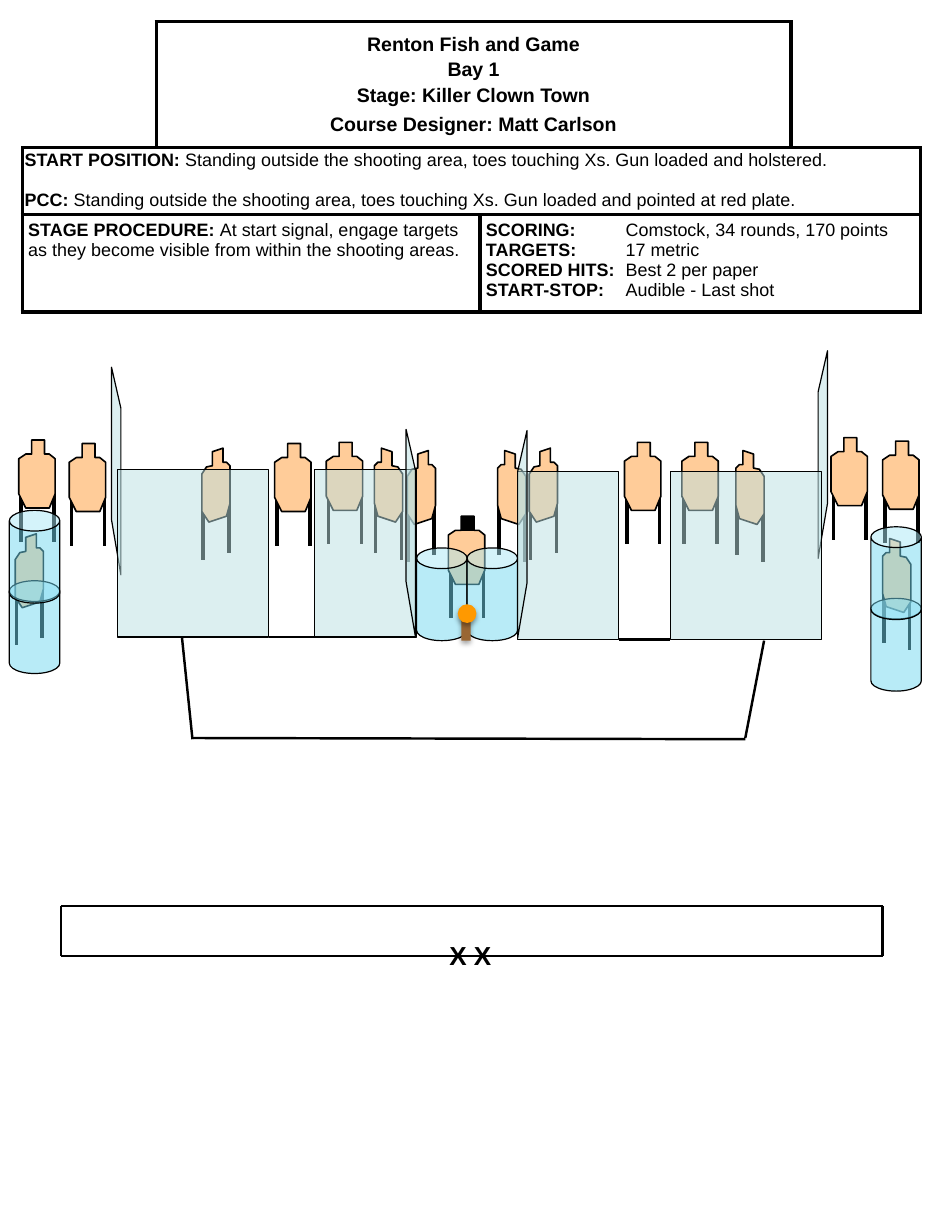
from lxml import etree
from pptx import Presentation
from pptx import util as u
from pptx.dml.color import RGBColor
from pptx.enum import shapes, text
from pptx.oxml.ns import qn

BLACK = RGBColor(0x00, 0x00, 0x00)
WHITE = RGBColor(0xFF, 0xFF, 0xFF)
CARDBOARD = RGBColor(0xFF, 0xCC, 0x99)
WALL = RGBColor(0xBB, 0xE0, 0xE3)
BARREL = RGBColor(0x73, 0xD9, 0xF1)
POST = RGBColor(0x99, 0x66, 0x33)
PLATE = RGBColor(0xFF, 0x99, 0x00)

FRONT = [(.11, 0), (.22, 0), (.22, .12), (.26, .12), (.31, .16), (.31, .46),
         (.26, .58), (.06, .58), (0, .46), (0, .16), (.06, .12), (.11, .12)]
FRONT_LEGS = [(.02, .43), (.3, .43)]
TURNED = [(.15, .03), (.06, 0), (.06, .12), (.03, .12), (0, .15), (0, .47),
          (.03, .58), (.18, .63), (.24, .54), (.24, .22), (.2, .16), (.15, .15)]
TURNED_LEGS = [(.23, .51), (.01, .45)]
TURNED_WIDTH = .24
SIDE_WALL = [(.07, 1.71), (0, 1.3), (0, 0), (.08, .35), (.08, 1.77)]
SIDE_WALL_WIDTH = .08


def cm(inches):
    return u.Cm(inches * 2.54)


def mirror(points, width):
    return [(width - x, y) for x, y in points]


class StagePlan:
    """Holds the style and the current slide; plan positions are in inches."""
    font = "Arial"

    def __init__(self, slide):
        self.shapes = slide.shapes

    def style(self, shape, color, alpha=None, line=.75):
        shape.shadow.inherit = False
        shape.fill.solid()
        shape.fill.fore_color.rgb = color
        if alpha:
            tint = shape._element.spPr.find(".//" + qn("a:srgbClr"))
            etree.SubElement(tint, qn("a:alpha")).set("val", str(alpha * 1000))
        if line:
            shape.line.color.rgb = BLACK
            shape.line.width = u.Pt(line)
        else:
            shape.line.fill.background()
        return shape

    def line(self, start, end, width=1.5, parent=None):
        line = (parent or self.shapes).add_connector(
            shapes.MSO_CONNECTOR.STRAIGHT, *map(cm, start + end))
        line.line.color.rgb = BLACK
        line.line.width = u.Pt(width)
        etree.SubElement(line._element.spPr, qn("a:effectLst"))

    def outline(self, left, top, points, color, alpha=None, line=.75, parent=None):
        corners = [(cm(left + x), cm(top + y)) for x, y in points]
        builder = (parent or self.shapes).build_freeform(*corners[0], scale=1)
        builder.add_line_segments(corners[1:], close=True)
        return self.style(builder.convert_to_shape(), color, alpha, line)

    def shape(self, kind, left, top, width, height, color, alpha=None, line=.75, parent=None):
        shape = (parent or self.shapes).add_shape(kind, *map(cm, (left, top, width, height)))
        return self.style(shape, color, alpha, line)

    def target(self, left, top, body=FRONT, legs=FRONT_LEGS):
        group = self.shapes.add_group_shape().shapes
        for x, y in legs:
            self.line((left + x, top + y), (left + x, top + y + .44), 2.25, group)
        self.outline(left, top, body, CARDBOARD, line=1, parent=group)
        return group

    def turned_target(self, left, top, flipped=False):
        body, legs = TURNED, TURNED_LEGS
        if flipped:
            body, legs = mirror(body, TURNED_WIDTH), mirror(legs, TURNED_WIDTH)
        self.target(left, top, body, legs)

    def side_wall(self, left, top, flipped=False):
        points = mirror(SIDE_WALL, SIDE_WALL_WIDTH) if flipped else SIDE_WALL
        self.outline(left, top, points, WALL, 50)

    def panel(self, left, top, width):
        self.shape(shapes.MSO_SHAPE.RECTANGLE, left, top, width, 1.43, WALL, 50)

    def barrel(self, left, top):
        can = self.shape(shapes.MSO_SHAPE.CAN, left, top, .43, .79, BARREL, 50)
        can.adjustments[0] = .41

    def drop_shadow(self, shape):
        effects = shape._element.spPr.find(qn("a:effectLst"))
        shadow = etree.SubElement(effects, qn("a:outerShdw"), blurRad=str(u.Pt(3.1)),
                                  dist=str(u.Pt(1.8)), dir="5400000", rotWithShape="0")
        tint = etree.SubElement(shadow, qn("a:srgbClr"), val=str(BLACK))
        etree.SubElement(tint, qn("a:alpha"), val="35000")

    def add_runs(self, para, parts, size):
        for words, bold in parts:
            run = para.add_run()
            run.text = words
            run.font.name, run.font.size, run.font.bold = self.font, u.Pt(size), bold
            run.font.color.rgb = BLACK

    def borders(self, cell, sides):
        properties = cell._tc.get_or_add_tcPr()
        for place, side in enumerate(s for s in "LRTB" if s in sides):
            edge = etree.Element(qn(f"a:ln{side}"), w=str(u.Pt(2.25)))
            fill = etree.SubElement(edge, qn("a:solidFill"))
            etree.SubElement(fill, qn("a:srgbClr"), val=str(BLACK))
            properties.insert(place, edge)

    def span(self, table, row, first, last):
        for column in range(first, last + 1):
            sides = "LRTB" if column == first else "RTB" if column == last else "TB"
            self.borders(table.cell(row, column), sides)
        table.cell(row, first).merge(table.cell(row, last))
        return table.cell(row, first)

    def fill_cell(self, cell, paragraphs, size, inset=(.05, .05), gaps=(), align=None,
                  spacing=None, tab=None):
        cell.margin_left = cell.margin_right = cm(inset[0])
        cell.margin_top = cell.margin_bottom = cm(inset[1])
        frame = cell.text_frame
        for index, parts in enumerate(paragraphs):
            para = frame.add_paragraph() if index else frame.paragraphs[0]
            if tab:
                tabs = etree.SubElement(para._p.get_or_add_pPr(), qn("a:tabLst"))
                etree.SubElement(tabs, qn("a:tab"), pos=str(cm(tab)), algn="l")
            para.alignment = align
            para.line_spacing = spacing
            if index and gaps:
                para.space_before = u.Pt(gaps[index - 1])
            self.add_runs(para, parts, size)

    def briefing(self):
        table = self.shapes.add_table(3, 4, *map(cm, (.19, .18, 7.65, 2.48))).table
        table.first_row = table.horz_banding = False
        for column, width in zip(table.columns, (1.14, 2.76, 2.65, 1.1)):
            column.width = cm(width)
        for row, height in zip(table.rows, (1.08, .57, .83)):
            row.height = cm(height)
        for cell in table.iter_cells():
            cell.fill.solid()
            cell.fill.fore_color.rgb = WHITE
        self.borders(table.cell(0, 0), "RB")
        self.borders(table.cell(0, 3), "LB")

        heading = self.span(table, 0, 1, 2)
        heading.vertical_anchor = text.MSO_ANCHOR.MIDDLE
        lines = ("Renton Fish and Game", "Bay 1", "Stage: Killer Clown Town",
                 "Course Designer: Matt Carlson")
        self.fill_cell(heading, [[(words, True)] for words in lines], 12,
                       gaps=(2.4, 2.4, 4.2), align=text.PP_ALIGN.CENTER)
        self.fill_cell(self.span(table, 1, 0, 3), [
            [("START POSITION:", True), (" Standing outside the shooting area, toes "
             "touching Xs. Gun loaded and holstered.", False)],
            [("PCC: ", True), ("Standing outside the shooting area, toes touching Xs. "
             "Gun loaded and pointed at red plate.", False)],
        ], 11, inset=(.02, .04), gaps=(13.2,), spacing=.9)
        self.fill_cell(self.span(table, 2, 0, 1), [
            [("STAGE PROCEDURE: ", True), ("At start signal, engage targets as they become "
             "visible from within the shooting areas.", False)]], 11)
        facts = (("SCORING:", "Comstock, 34 rounds, 170 points"), ("TARGETS:", "17 metric"),
                 ("SCORED HITS:", "Best 2 per paper"), ("START-STOP:", "Audible - Last shot"))
        self.fill_cell(self.span(table, 2, 2, 3),
                       [[(label, True), ("\t" + value, False)] for label, value in facts],
                       11, tab=1.19)

    def start_marks(self):
        box = self.shapes.add_textbox(*map(cm, (3.73, 7.96, .58, .37)))
        box.text_frame.word_wrap = True
        box.text_frame.auto_size = text.MSO_AUTO_SIZE.SHAPE_TO_FIT_TEXT
        self.add_runs(box.text_frame.paragraphs[0], [("X X", True)], 16)


def main():
    deck = Presentation()
    deck.slide_width, deck.slide_height = cm(8), cm(10.5)
    plan = StagePlan(deck.slides.add_slide(deck.slide_layouts[6]))

    # Outer walls and targets
    plan.side_wall(.95, 3.13)
    plan.side_wall(6.97, 2.99, flipped=True)
    for left, top in ((7.08, 3.73), (7.52, 3.76), (.16, 3.75), (.59, 3.78), (5.81, 3.77),
                      (2.34, 3.78), (2.78, 3.77), (5.32, 3.77)):
        plan.target(left, top)
    for left, top, flipped in ((7.52, 4.59, False), (.13, 4.55, True), (6.27, 3.84, False),
                               (1.72, 3.82, True), (4.51, 3.82, True), (3.19, 3.82, False),
                               (4.24, 3.84, False), (3.47, 3.84, True)):
        plan.turned_target(left, top, flipped)
    center = plan.target(3.82, 4.4)
    plan.shape(shapes.MSO_SHAPE.RECTANGLE, 3.93, 4.41, .11, .11, BLACK, parent=center)

    plan.briefing()

    # Walls and barrels in front of the targets
    plan.panel(2.68, 4, .87)
    plan.side_wall(3.46, 3.66)
    for left in (3.55, 3.98):
        plan.barrel(left, 4.67)
    plan.panel(4.41, 4.02, .86)
    plan.side_wall(4.41, 3.67, flipped=True)
    plan.panel(1, 4, 1.29)
    plan.panel(5.71, 4.02, 1.29)
    for left, tops in ((.08, (4.95, 4.35)), (7.42, (5.1, 4.49))):
        for top in tops:
            plan.barrel(left, top)

    # Shooting area and start box
    for start, end in (((1.55, 5.43), (1.64, 6.3)), ((1.64, 6.29), (6.35, 6.3)),
                       ((6.51, 5.46), (6.35, 6.29)), ((2.29, 5.43), (2.68, 5.43)),
                       ((5.27, 5.45), (5.71, 5.45))):
        plan.line(start, end)
    left, right, top, bottom = .52, 7.52, 7.72, 8.15
    for y in (top, bottom):
        plan.line((left, y), (right, y))
    for x in (left, right):
        plan.line((x, top), (x, bottom))
    plan.start_marks()

    # Plate on its post
    stand = plan.shapes.add_group_shape().shapes
    for kind, place, color in ((shapes.MSO_SHAPE.RECTANGLE, (3.93, 5.24, .08, .22), POST),
                               (shapes.MSO_SHAPE.OVAL, (3.9, 5.15, .16, .16), PLATE)):
        plan.drop_shadow(plan.shape(kind, *place, color, line=None, parent=stand))

    deck.save("out.pptx")


if __name__ == "__main__":
    main()
